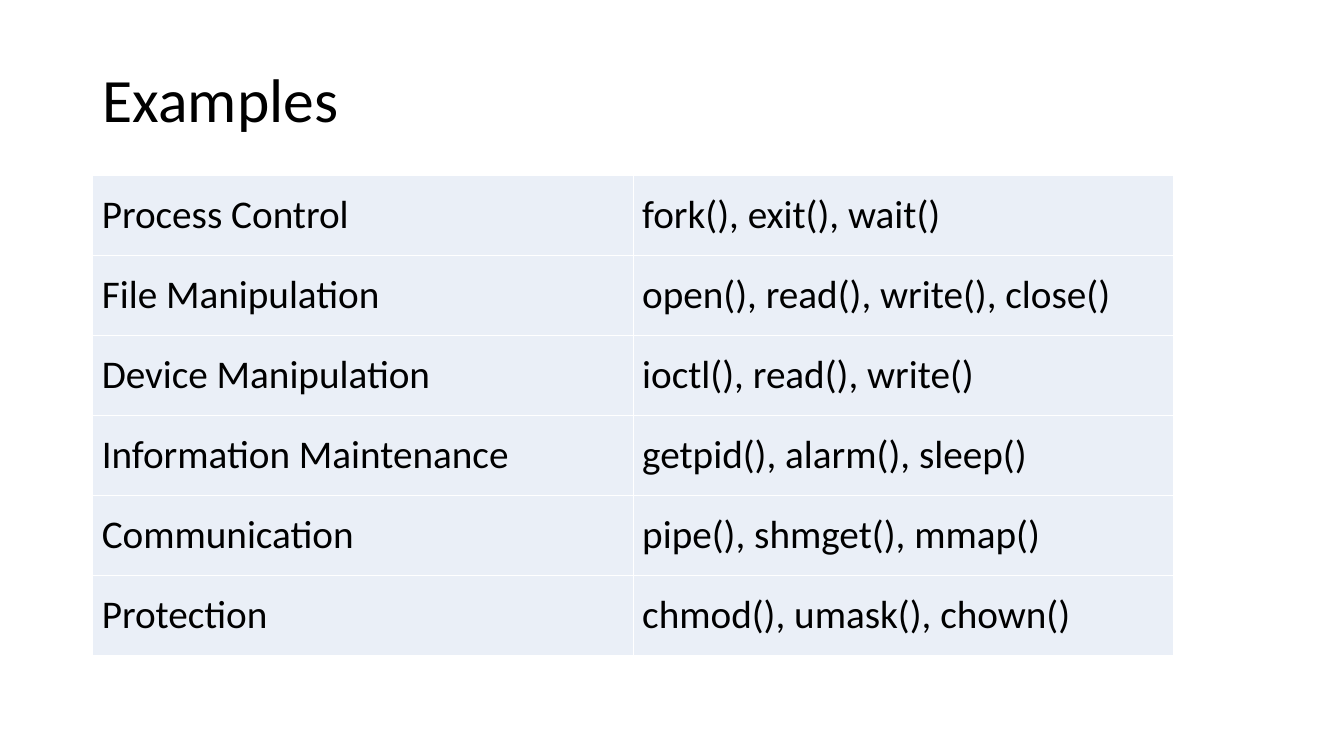
from dataclasses import dataclass

from lxml import etree
from pptx import Presentation
from pptx.dml.color import RGBColor
from pptx.enum import text as t
from pptx.oxml import ns
from pptx.util import Inches, Pt


@dataclass(frozen=True)
class Theme:
    font: str = "Calibri"
    ink: str = "000000"
    cell: str = "EAEFF7"
    border: str = "FFFFFF"
    border_width: float = 1
    title_size: int = 44
    body_size: int = 28


THEME = Theme()

SYSTEM_CALLS = [
    ("Process Control", "fork(), exit(), wait()"),
    ("File Manipulation", "open(), read(), write(), close()"),
    ("Device Manipulation", "ioctl(), read(), write()"),
    ("Information Maintenance", "getpid(), alarm(), sleep()"),
    ("Communication", "pipe(), shmget(), mmap()"),
    ("Protection", "chmod(), umask(), chown()"),
]


def write_text(frame, content, size=THEME.body_size, color=THEME.ink, line_spacing=None):
    frame.word_wrap = True
    paragraph = frame.paragraphs[0]
    paragraph.alignment = t.PP_ALIGN.LEFT
    paragraph.line_spacing = line_spacing
    run = paragraph.add_run()
    run.text = content
    run.font.name = THEME.font
    run.font.size = Pt(size)
    run.font.color.rgb = RGBColor.from_string(color)


def add_title(slide, content, left, top, width, height):
    title = slide.shapes.add_textbox(left, top, width, height).text_frame
    title.vertical_anchor = t.MSO_ANCHOR.MIDDLE
    write_text(title, content, size=THEME.title_size, line_spacing=0.9)


def set_borders(cell):
    properties = cell._tc.get_or_add_tcPr()
    # Border lines come before the fill in the cell properties
    for position, side in enumerate(("a:lnL", "a:lnR", "a:lnT", "a:lnB")):
        line = etree.Element(ns.qn(side), w=str(Pt(THEME.border_width)))
        fill = etree.SubElement(line, ns.qn("a:solidFill"))
        etree.SubElement(fill, ns.qn("a:srgbClr"), val=THEME.border)
        properties.insert(position, line)


def format_cell(cell, content):
    cell.vertical_anchor = t.MSO_ANCHOR.MIDDLE
    cell.margin_left = cell.margin_right = Inches(0.09)
    cell.margin_top = cell.margin_bottom = Inches(0.05)
    cell.fill.solid()
    cell.fill.fore_color.rgb = RGBColor.from_string(THEME.cell)
    set_borders(cell)
    write_text(cell.text_frame, content)


def add_grid(slide, rows, left, top, width, height):
    grid = slide.shapes.add_table(len(rows), len(rows[0]), left, top, width, height).table
    grid.first_row = False
    grid.horz_banding = False
    for row_index, row in enumerate(rows):
        for column_index, content in enumerate(row):
            format_cell(grid.cell(row_index, column_index), content)


def main():
    deck = Presentation()
    deck.slide_width = Inches(13.33)
    deck.slide_height = Inches(7.5)
    slide = deck.slides.add_slide(deck.slide_layouts[6])

    # Heading
    left = Inches(0.92)
    add_title(slide, "Examples", left, Inches(0.29), Inches(11.5), Inches(1.45))

    # System calls by category
    add_grid(slide, SYSTEM_CALLS, left, Inches(1.74), Inches(10.72), Inches(4.76))

    deck.save("out.pptx")


if __name__ == "__main__":
    main()
